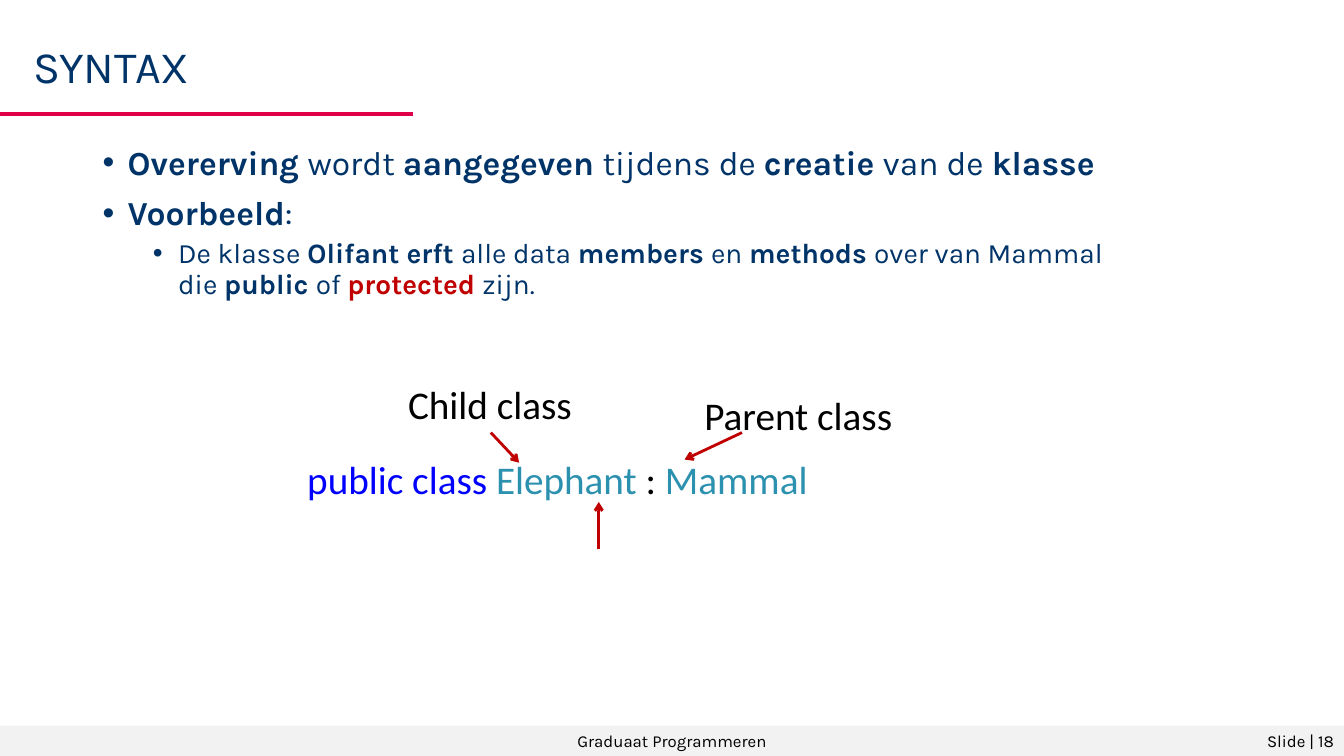
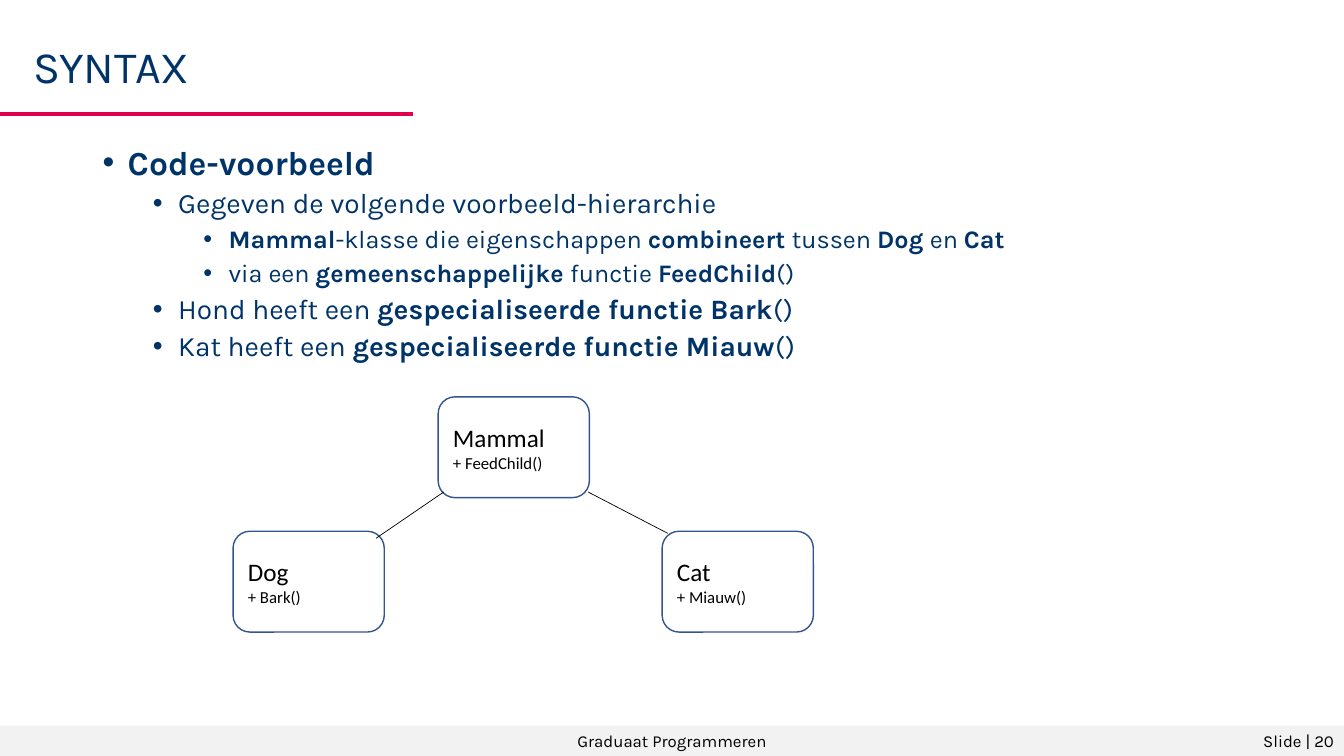
import pptx
import pptx.dml.color
import pptx.enum.shapes
import pptx.enum.text
import pptx.oxml
import pptx.oxml.ns
import pptx.util

Pt = pptx.util.Pt
SHAPES = pptx.enum.shapes.MSO_SHAPE
ALIGN = pptx.enum.text.PP_ALIGN
ANCHOR = pptx.enum.text.MSO_ANCHOR

# Shared look
WIDTH, HEIGHT = 960, 540
FOOTER_HEIGHT = 21.6
NAVY, PINK, RED, BLACK, WHITE = "003469", "E00049", "C00000", "000000", "FFFFFF"
FOOTER_GREY, BOX_BLUE = "F2F2F2", "325491"
KEYWORD_BLUE, TYPE_TEAL = "0000FF", "2B91AF"
HEADING_FONT, LABEL_FONT = "Karla", "Calibri"
LEVEL_SIZES = (24, 20, 18)
LEVEL_SPACING = (10, 5, 5)
INDENT = 18
LEVEL_STEP = 36
CLASS_WIDTH, CLASS_HEIGHT = 108, 72


def color(value):
    return pptx.dml.color.RGBColor.from_string(value)


def add_xml(parent, tag, **attributes):
    element = pptx.oxml.parse_xml(f"<{tag} {pptx.oxml.ns.nsdecls('a')}/>")
    for name, value in attributes.items():
        element.set(name, str(value))
    parent.append(element)
    return element


def style_font(font, name, size, value):
    font.name = name
    font.size = Pt(size)
    font.color.rgb = color(value)


def add_text(slide, box, text, font, size, value=BLACK, align=ALIGN.LEFT, anchor=ANCHOR.TOP):
    shape = slide.shapes.add_textbox(*map(Pt, box))
    frame = shape.text_frame
    frame.word_wrap = True
    frame.vertical_anchor = anchor
    paragraph = frame.paragraphs[0]
    paragraph.text = text
    paragraph.alignment = align
    style_font(paragraph.font, font, size, value)
    return shape


def add_box(slide, kind, box, fill, outline=None):
    shape = slide.shapes.add_shape(kind, *map(Pt, box))
    shape.shadow.inherit = False
    shape.fill.solid()
    shape.fill.fore_color.rgb = color(fill)
    if outline:
        shape.line.color.rgb = color(outline)
        shape.line.width = Pt(1)
    else:
        shape.line.fill.background()
    shape.text_frame.word_wrap = True
    shape.text_frame.vertical_anchor = ANCHOR.MIDDLE
    return shape


def add_line(slide, start, end, value, width, arrow=False):
    line = slide.shapes.add_connector(
        pptx.enum.shapes.MSO_CONNECTOR.STRAIGHT, *map(Pt, (*start, *end)))
    line.line.color.rgb = color(value)
    line.line.width = Pt(width)
    if arrow:
        add_xml(line.line._get_or_add_ln(), "a:tailEnd", type="arrow")
    add_xml(line._element.spPr, "a:effectLst")


def add_slide(presentation, title, number):
    """Blank slide with the shared title, rule and footer."""
    slide = presentation.slides.add_slide(presentation.slide_layouts[6])
    top = HEIGHT - FOOTER_HEIGHT
    footer = add_box(slide, SHAPES.RECTANGLE, (0, top, WIDTH, FOOTER_HEIGHT), FOOTER_GREY)
    paragraph = footer.text_frame.paragraphs[0]
    paragraph.text = "Graduaat Programmeren"
    paragraph.alignment = ALIGN.CENTER
    style_font(paragraph.font, HEADING_FONT, 12, BLACK)
    add_text(slide, (WIDTH - 216, top, 216, FOOTER_HEIGHT), f"Slide | {number}",
             HEADING_FONT, 12, align=ALIGN.RIGHT, anchor=ANCHOR.MIDDLE)
    add_line(slide, (0, 81.4), (295, 81.4), PINK, 3)
    heading = add_text(slide, (16.8, 28.8, 877, 53), title, HEADING_FONT, 32, NAVY)
    heading.text_frame.paragraphs[0].line_spacing = 0.9
    return slide


def add_marked_runs(paragraph, text, red_word):
    """Text between asterisks is bold; a newline is a line break."""
    for index, part in enumerate(text.split("*")):
        for line_number, piece in enumerate(part.split("\n")):
            if line_number:
                paragraph.add_line_break()
            if not piece:
                continue
            run = paragraph.add_run()
            run.text = piece
            run.font.bold = index % 2 == 1
            if piece.strip() == red_word:
                run.font.color.rgb = color(RED)


def add_bullets(slide, items, red_word=None):
    frame = slide.shapes.add_textbox(*map(Pt, (66.2, 100.8, 828, 389.5))).text_frame
    frame.word_wrap = True
    for index, (level, text) in enumerate(items):
        paragraph = frame.paragraphs[0] if index == 0 else frame.add_paragraph()
        paragraph.level = level
        paragraph.line_spacing = 0.9
        if index:
            paragraph.space_before = Pt(LEVEL_SPACING[level])
        properties = paragraph._p.get_or_add_pPr()
        properties.set("marL", str(Pt(INDENT + LEVEL_STEP * level)))
        properties.set("indent", str(-Pt(INDENT)))
        add_xml(properties, "a:buFont", typeface="Arial")
        add_xml(properties, "a:buChar", char="•")
        style_font(paragraph.font, HEADING_FONT, LEVEL_SIZES[level], NAVY)
        add_marked_runs(paragraph, text, red_word)


def add_code_line(slide, box, parts):
    shape = add_box(slide, SHAPES.RECTANGLE, box, WHITE)
    paragraph = shape.text_frame.paragraphs[0]
    paragraph.alignment = ALIGN.LEFT
    paragraph.font.name = LABEL_FONT
    paragraph.font.size = Pt(28)
    for text, value in parts:
        run = paragraph.add_run()
        run.text = text
        run.font.color.rgb = color(value)


def add_class_box(slide, left, top, name, method):
    shape = add_box(slide, SHAPES.ROUNDED_RECTANGLE,
                    (left, top, CLASS_WIDTH, CLASS_HEIGHT), WHITE, BOX_BLUE)
    frame = shape.text_frame
    frame.text = f"{name}\n+ {method}()"
    for paragraph, size in zip(frame.paragraphs, (18, 12)):
        paragraph.alignment = ALIGN.LEFT
        style_font(paragraph.font, LABEL_FONT, size, BLACK)


def build_syntax_slide(presentation):
    slide = add_slide(presentation, "SYNTAX", 18)
    add_bullets(slide, [
        (0, "*Overerving *wordt *aangegeven *tijdens de *creatie *van de *klasse*"),
        (0, "*Voorbeeld*:"),
        (1, "De klasse *Olifant erft *alle data *members *en *methods *over van Mammal \n"
            "die *public *of *protected *zijn."),
    ], red_word="protected")

    # Annotated class declaration
    add_code_line(slide, (212.4, 321.8, 376, 41), [
        ("public class ", KEYWORD_BLUE), ("Elephant ", TYPE_TEAL),
        (":", BLACK), (" Mammal", TYPE_TEAL)])
    for left, top, width, label in [(496, 275.8, 152, "Parent class"),
                                    (284.4, 267.8, 136, "Child class")]:
        add_text(slide, (left, top, width, 41), label, LABEL_FONT, 28)
    for start, end in [((427.7, 392.4), (427.7, 358.6)),
                       ((530, 309), (489, 328.3)),
                       ((350.6, 309), (370.8, 330.5))]:
        add_line(slide, start, end, RED, 2, arrow=True)


def build_hierarchy_slide(presentation):
    slide = add_slide(presentation, "SYNTAX", 20)
    add_bullets(slide, [
        (0, "*Code-voorbeeld*"),
        (1, "Gegeven de volgende voorbeeld-hierarchie"),
        (2, "*Mammal*-klasse die eigenschappen *combineert *tussen *Dog *en *Cat*"),
        (2, "via een *gemeenschappelijke *functie *FeedChild*()"),
        (1, "Hond heeft een *gespecialiseerde functie Bark*()"),
        (1, "Kat heeft een *gespecialiseerde functie Miauw*()"),
    ])

    # Class hierarchy
    for left, top, name, method in [(313, 283.5, "Mammal", "FeedChild"),
                                    (166.5, 379.5, "Dog", "Bark"),
                                    (473, 379.5, "Cat", "Miauw")]:
        add_class_box(slide, left, top, name, method)
    add_line(slide, (420, 351.4), (477, 381), BLACK, 0.5)
    add_line(slide, (317, 351.4), (268.6, 384.5), BLACK, 0.5)


def main():
    presentation = pptx.Presentation()
    presentation.slide_width = Pt(WIDTH)
    presentation.slide_height = Pt(HEIGHT)
    build_syntax_slide(presentation)
    build_hierarchy_slide(presentation)
    presentation.save("out.pptx")


if __name__ == "__main__":
    main()
